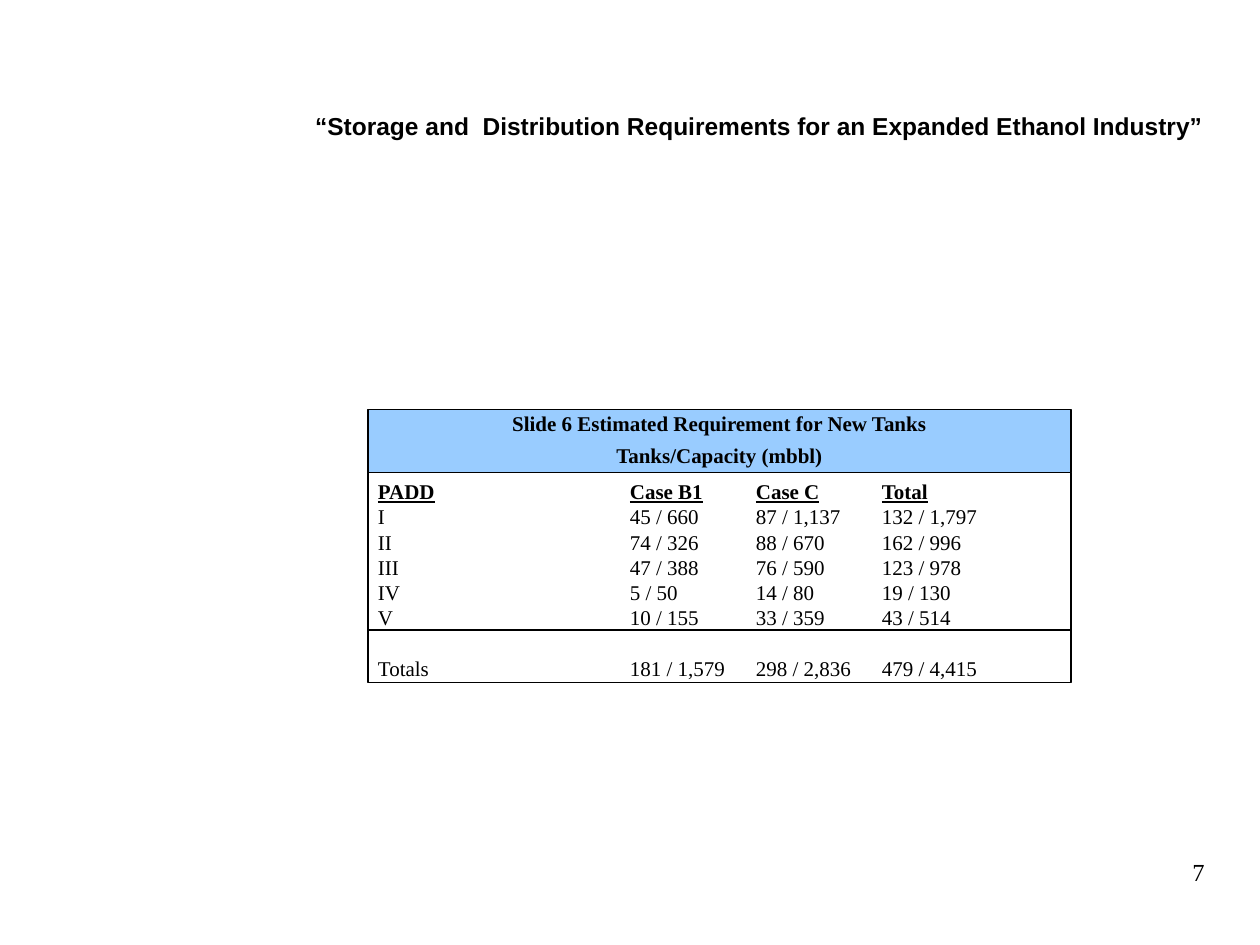
from lxml import etree
from pptx import Presentation
from pptx import util as u
from pptx.dml.color import RGBColor
from pptx.enum import shapes, text
from pptx.oxml.ns import qn

COLORS = {"black": "000000", "header": "99CCFF"}
SERIF = "Times New Roman"
LINE_HEIGHT = 14.4
LEFT, TOP, WIDTH = 2.92, 3.25, 5.58
HEADER_HEIGHT, BODY_HEIGHT = 0.5, 1.67

HEADER_LINES = ["Slide 6 Estimated Requirement for New Tanks",
                "Tanks/Capacity (mbbl)"]
COLUMNS = ["PADD", "Case B1", "Case C", "Total"]
ROWS = [
    ["I", "45 / 660", "87 / 1,137", "132 / 1,797"],
    ["II", "74 / 326", "88 / 670", "162 / 996"],
    ["III", "47 / 388", "76 / 590", "123 / 978"],
    ["IV", "5 / 50", "14 / 80", "19 / 130"],
    ["V", "10 / 155", "33 / 359", "43 / 514"],
    ["Totals", "181 / 1,579", "298 / 2,836", "479 / 4,415"],
]


def inches(*lengths):
    return [u.Inches(length) for length in lengths]


def apply(target, values):
    for name, value in values.items():
        setattr(target, name, value)


def add_run(paragraph, content, size=12, name=SERIF, **font_values):
    run = paragraph.add_run()
    run.text = content
    apply(run.font, {"size": u.Pt(size), "name": name, **font_values})
    run.font.color.rgb = RGBColor.from_string(COLORS["black"])


def next_paragraph(frame, index):
    return frame.paragraphs[0] if index == 0 else frame.add_paragraph()


def set_line(line):
    line.color.rgb = RGBColor.from_string(COLORS["black"])
    line.width = u.Pt(0.75)


def add_title(slide, content):
    title = slide.shapes.title
    title.left, title.top, title.width, title.height = inches(2.4, 0.83, 7.25, 0.34)
    apply(title.text_frame, {"word_wrap": False,
                             "margin_right": 0,
                             "auto_size": text.MSO_AUTO_SIZE.NONE,
                             "vertical_anchor": text.MSO_ANCHOR.TOP})
    paragraph = title.text_frame.paragraphs[0]
    paragraph.alignment = text.PP_ALIGN.LEFT
    add_run(paragraph, content, 14, "Arial", bold=True)


def add_rectangle(slide, top, height, fill=None):
    shape = slide.shapes.add_shape(shapes.MSO_SHAPE.RECTANGLE,
                                   *inches(LEFT, top, WIDTH, height))
    shape.shadow.inherit = False
    if fill:
        shape.fill.solid()
        shape.fill.fore_color.rgb = RGBColor.from_string(COLORS[fill])
        shape.line.fill.background()
    else:
        shape.fill.background()
        set_line(shape.line)
    return shape


def add_header(slide):
    frame = add_rectangle(slide, TOP, HEADER_HEIGHT, "header").text_frame
    apply(frame, {"word_wrap": False,
                  "margin_top": u.Inches(0.06),
                  "margin_bottom": u.Inches(0.04),
                  "vertical_anchor": text.MSO_ANCHOR.MIDDLE})
    for index, content in enumerate(HEADER_LINES):
        paragraph = next_paragraph(frame, index)
        apply(paragraph, {"alignment": text.PP_ALIGN.CENTER, "line_spacing": 0.75})
        if index:
            paragraph.space_before = u.Pt(7.5)
        add_run(paragraph, content, bold=True)


def set_tabs(paragraph, stops):
    properties = paragraph._p.get_or_add_pPr()
    tabs = etree.SubElement(properties, qn("a:tabLst"))
    for stop in stops:
        etree.SubElement(tabs, qn("a:tab"), pos=str(u.Inches(stop)), algn="l")


def add_requirements(slide):
    frame = slide.shapes.add_textbox(*inches(1.9, 3.75, 6.2, 1.7)).text_frame
    apply(frame, {"word_wrap": True, "margin_left": u.Inches(1.1)})
    for index, row in enumerate([COLUMNS] + ROWS):
        paragraph = next_paragraph(frame, index)
        set_tabs(paragraph, range(2, 5))
        apply(paragraph, {"alignment": text.PP_ALIGN.JUSTIFY,
                          "line_spacing": u.Pt(LINE_HEIGHT)})
        if row[0] == "Totals":
            paragraph.space_before = u.Pt(LINE_HEIGHT)
        if index:
            add_run(paragraph, "\t".join(row))
            continue
        # Only the column names are underlined, not the gaps
        for column, name in enumerate(row):
            if column:
                add_run(paragraph, "\t", bold=True)
            add_run(paragraph, name, bold=True, underline=True)


def add_rule(slide, y):
    rule = slide.shapes.add_connector(shapes.MSO_CONNECTOR.STRAIGHT,
                                      *inches(LEFT, y, LEFT + WIDTH, y))
    set_line(rule.line)
    etree.SubElement(rule._element.spPr, qn("a:effectLst"))


def add_page_number(slide, number):
    frame = slide.shapes.add_textbox(*inches(7.58, 6.75, 2.08, 0.5)).text_frame
    frame.word_wrap = True
    frame.paragraphs[0].alignment = text.PP_ALIGN.RIGHT
    add_run(frame.paragraphs[0], number, 14)


def main():
    presentation = Presentation()
    presentation.slide_width, presentation.slide_height = inches(10, 7.5)
    slide = presentation.slides.add_slide(presentation.slide_layouts[5])

    add_title(slide, "“Storage and  Distribution Requirements for an Expanded Ethanol Industry”")

    # Tank requirements with their frames
    add_header(slide)
    add_requirements(slide)
    add_rectangle(slide, TOP + HEADER_HEIGHT, BODY_HEIGHT)
    add_rectangle(slide, TOP, HEADER_HEIGHT)
    add_rule(slide, 5)

    add_page_number(slide, "7")
    presentation.save("out.pptx")


if __name__ == "__main__":
    main()
